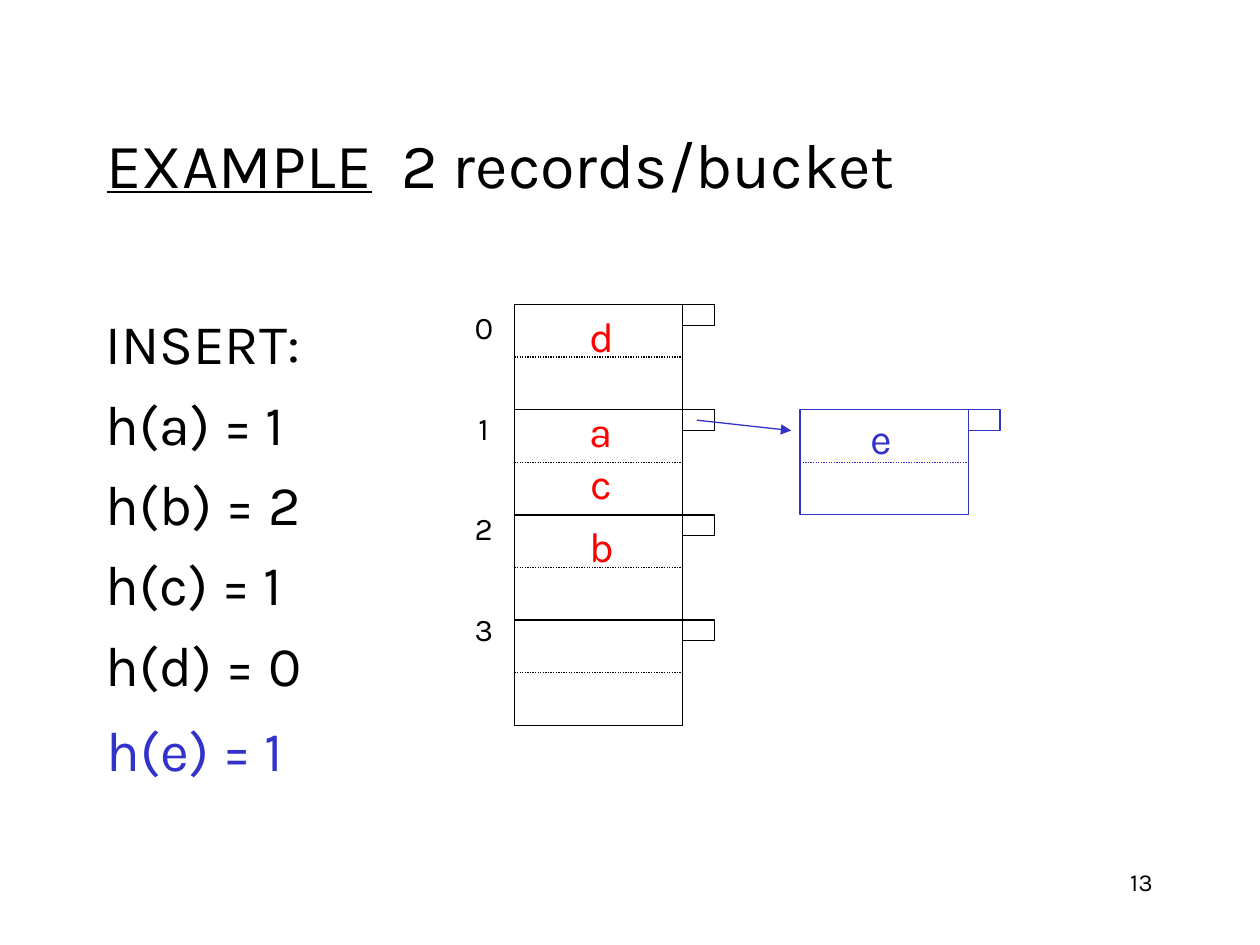
import dataclasses

import lxml.etree
import pptx
import pptx.dml.color
import pptx.enum.dml
import pptx.enum.shapes
import pptx.enum.text
import pptx.oxml.ns
import pptx.util

Cm = pptx.util.Cm
Pt = pptx.util.Pt
Align = pptx.enum.text.PP_ALIGN
Anchor = pptx.enum.text.MSO_ANCHOR


@dataclasses.dataclass(frozen=True)
class Theme:
    font: str = "Karla"
    ink: str = "000000"
    paper: str = "FFFFFF"
    record: str = "FF0000"
    overflow: str = "3333CC"
    title_size: int = 36
    body_size: int = 32
    record_size: int = 24
    label_size: int = 18
    number_size: int = 14
    line_width: float = 0.75


THEME = Theme()

BUCKET_WIDTH, BUCKET_HEIGHT = 3.39, 2.12
POINTER_WIDTH, POINTER_HEIGHT = 0.64, 0.42
TABLE_LEFT, TABLE_TOP = 10.37, 6.14
OVERFLOW_LEFT = 16.13
OVERFLOW_TOP = TABLE_TOP + BUCKET_HEIGHT


def rgb(color):
    return pptx.dml.color.RGBColor.from_string(color)


def add_text(page, lines, left, top, width, height, *, size, color=THEME.ink,
             align=Align.LEFT, anchor=Anchor.TOP, gap=0, wrap=True):
    """Each line is a paragraph, given as a list of (text, underlined) spans or a string."""
    box = page.shapes.add_textbox(Cm(left), Cm(top), Cm(width), Cm(height))
    frame = box.text_frame
    frame.word_wrap = wrap
    frame.vertical_anchor = anchor
    for index, line in enumerate(lines):
        para = frame.add_paragraph() if index else frame.paragraphs[0]
        para.alignment = align
        if index:
            para.space_before = Pt(gap)
        for text, underlined in [(line, False)] if isinstance(line, str) else line:
            span = para.add_run()
            span.text = text
            span.font.name = THEME.font
            span.font.size = Pt(size)
            span.font.underline = underlined
            span.font.color.rgb = rgb(color)


def add_rectangle(page, left, top, width, height, color):
    rectangle = page.shapes.add_shape(pptx.enum.shapes.MSO_SHAPE.RECTANGLE,
                                      Cm(left), Cm(top), Cm(width), Cm(height))
    rectangle.shadow.inherit = False
    rectangle.fill.solid()
    rectangle.fill.fore_color.rgb = rgb(THEME.paper)
    rectangle.line.color.rgb = rgb(color)
    rectangle.line.width = Pt(THEME.line_width)


def add_line(page, start, end, color, *, dotted=False, arrow=False):
    line = page.shapes.add_connector(pptx.enum.shapes.MSO_CONNECTOR.STRAIGHT,
                                     *map(Cm, start + end))
    line.line.color.rgb = rgb(color)
    line.line.width = Pt(THEME.line_width)
    if dotted:
        line.line.dash_style = pptx.enum.dml.MSO_LINE.ROUND_DOT
    name = pptx.oxml.ns.qn
    if arrow:
        lxml.etree.SubElement(line.line._get_or_add_ln(), name("a:tailEnd"), type="triangle")
    lxml.etree.SubElement(line._element.spPr, name("a:effectLst"))


def add_bucket(page, left, top, color):
    """Two record slots with an overflow pointer at the upper right."""
    right, middle = left + BUCKET_WIDTH, top + BUCKET_HEIGHT / 2
    add_rectangle(page, left, top, BUCKET_WIDTH, BUCKET_HEIGHT, color)
    add_rectangle(page, right, top, POINTER_WIDTH, POINTER_HEIGHT, color)
    add_line(page, (left, middle), (right, middle), color, dotted=True)


def add_record(page, letter, left, top, color):
    add_text(page, [letter], left, top, 0.98, 1.27, size=THEME.record_size, color=color,
             align=Align.CENTER, anchor=Anchor.MIDDLE, wrap=False)


def main():
    deck = pptx.Presentation()
    deck.slide_width, deck.slide_height = Cm(25.4), Cm(19.05)
    page = deck.slides.add_slide(deck.slide_layouts[6])

    add_text(page, [[("EXAMPLE", True), ("  2 records/bucket", False)]],
             1.9, 1.7, 21.59, 3.18, size=THEME.title_size, anchor=Anchor.MIDDLE)
    add_text(page, ["INSERT:", "h(a) = 1", "h(b) = 2", "h(c) = 1", "h(d) = 0"],
             1.88, 6.1, 5.11, 8.08, size=THEME.body_size, gap=7.5)
    add_text(page, ["h(e) = 1"], 1.9, 14.3, 4.78, 1.75,
             size=THEME.body_size, color=THEME.overflow)

    for row in range(4):
        add_bucket(page, TABLE_LEFT, TABLE_TOP + row * BUCKET_HEIGHT, THEME.ink)
    add_text(page, ["0", "1", "2", "3"], 9.32, 5.95, 0.86, 7.37, size=THEME.label_size,
             align=Align.CENTER, anchor=Anchor.MIDDLE, gap=36, wrap=False)
    for letter, top in [("d", 6.14), ("a", 8.05), ("c", 9.1), ("b", 10.37)]:
        add_record(page, letter, 11.63, top, THEME.record)

    add_bucket(page, OVERFLOW_LEFT, OVERFLOW_TOP, THEME.overflow)
    add_record(page, "e", 17.27, 8.18, THEME.overflow)
    add_line(page, (14.05, 8.47), (15.95, 8.68), THEME.overflow, arrow=True)

    add_text(page, ["13"], 18.2, 17.35, 5.29, 1.27, size=THEME.number_size, align=Align.RIGHT)
    deck.save("out.pptx")


if __name__ == "__main__":
    main()
